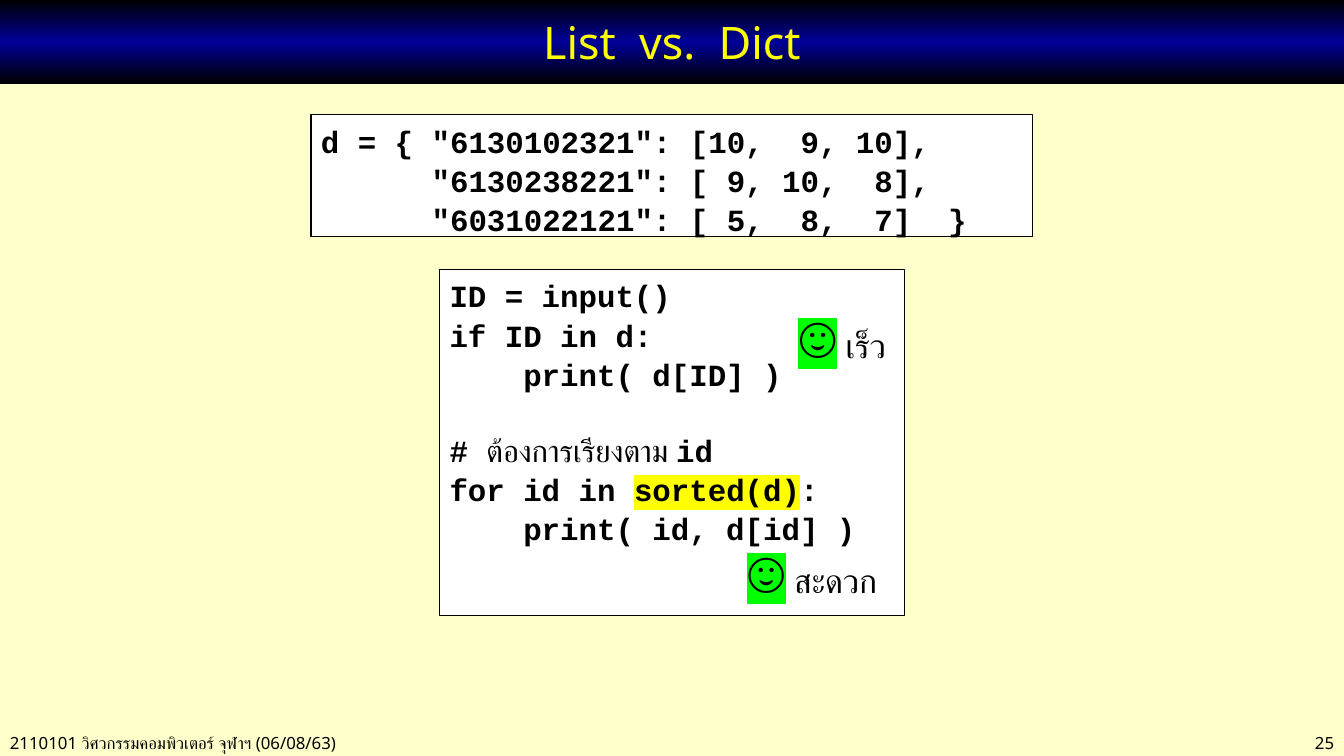
from pptx import Presentation
from pptx.dml.color import RGBColor
from pptx.enum.shapes import MSO_SHAPE
from pptx.enum.text import MSO_ANCHOR, PP_ALIGN
from pptx.util import Inches, Pt
from lxml import etree

RECT = MSO_SHAPE.RECTANGLE
TOP, MIDDLE = MSO_ANCHOR.TOP, MSO_ANCHOR.MIDDLE
LEFT, CENTER, RIGHT = PP_ALIGN.LEFT, PP_ALIGN.CENTER, PP_ALIGN.RIGHT
BLACK = RGBColor(0x00, 0x00, 0x00)
WHITE = RGBColor(0xFF, 0xFF, 0xFF)
NAVY = RGBColor(0x00, 0x00, 0x99)
CREAM = RGBColor(0xFF, 0xFF, 0xCC)
YELLOW = RGBColor(0xFF, 0xFF, 0x00)
GREEN = RGBColor(0x00, 0xFF, 0x00)
SANS, MONO = "Noto Sans", "Courier New"
A = "http://schemas.openxmlformats.org/drawingml/2006/main"

# Content: a line is a list of (text, format changes)
TITLE = "List  vs.  Dict"
COURSE = "2110101 วิศวกรรมคอมพิวเตอร์ จุฬาฯ (06/08/63)"
PAGE = "25"
DICT_CODE = [
    [('d = { "6130102321": [10,  9, 10],', {})],
    [('      "6130238221": [ 9, 10,  8],', {})],
    [('      "6031022121": [ 5,  8,  7]  }', {})],
]
LOOKUP_CODE = [
    [("ID = input()", {})],
    [("if ID in d:", {})],
    [("    print( d[ID] )", {})],
]
SORT_CODE = [
    [("# ", {}), ("ต้องการเรียงตาม ", {"bold": False}), ("id", {})],
    [("for id in ", {}), ("sorted(d)", {"highlight": YELLOW}), (":", {})],
    [("    print( id, d[id] )", {})],
]
PRAISES = [(" เร็ว", 7.82, 3.01, 1.15), (" สะดวก", 7.31, 5.34, 1.66)]

# Layout
WIDTH, HEIGHT = 13.33, 7.5
BAR_HEIGHT = 0.83
CODE_TOP, CODE_GAP = 1.14, 0.32
DICT_SIZE, LOOP_SIZE = (7.16, 1.21), (4.61, 3.44)
FOOTER_HEIGHT = 0.3
CODE_LINE = 26.4
CODE_LEAD = 1.5

prs = Presentation()
prs.slide_width, prs.slide_height = Inches(WIDTH), Inches(HEIGHT)
slide = prs.slides.add_slide(prs.slide_layouts[6])
slide.background.fill.solid()
slide.background.fill.fore_color.rgb = CREAM


def write(frame, text, font=SANS, size=12, color=BLACK, bold=False, align=LEFT,
          anchor=TOP, wrap=True, before=0, gaps=None, inset_top=0.05):
    """Fill a frame with a string or with lines of (text, format changes)."""
    lines = [[(text, {})]] if isinstance(text, str) else text
    frame.word_wrap, frame.vertical_anchor = wrap, anchor
    frame.margin_top = Inches(inset_top)
    for number, line in enumerate(lines):
        para = frame.add_paragraph() if number else frame.paragraphs[0]
        para.alignment = align
        para.space_before = Pt((gaps or {}).get(number, before))
        for words, changes in line:
            run = para.add_run()
            run.text = words
            run.font.name = font
            run.font.size = Pt(changes.get("size", size))
            run.font.bold = changes.get("bold", bold)
            run.font.color.rgb = color
            if "highlight" in changes:
                mark = etree.Element(f"{{{A}}}highlight")
                etree.SubElement(mark, f"{{{A}}}srgbClr", val=str(changes["highlight"]))
                run.font._element.find(f"{{{A}}}solidFill").addnext(mark)


def add_box(left, top, width, height):
    box = slide.shapes.add_shape(RECT, Inches(left), Inches(top), Inches(width), Inches(height))
    box.shadow.inherit = False
    return box


def add_label(left, top, width, height, text, **style):
    label = slide.shapes.add_textbox(Inches(left), Inches(top), Inches(width), Inches(height))
    write(label.text_frame, text, **style)


def add_code(top, size, lines, **style):
    box = add_box((WIDTH - size[0]) / 2, top, *size)
    box.fill.solid()
    box.fill.fore_color.rgb = WHITE
    box.line.color.rgb = BLACK
    box.line.width = Pt(0.75)
    write(box.text_frame, lines, font=MONO, size=22, bold=True,
          before=CODE_LEAD, inset_top=0.08, **style)


# Footer
footer_top = HEIGHT - FOOTER_HEIGHT + 0.02
add_label(0, footer_top, 5.2, FOOTER_HEIGHT, COURSE)
add_label(WIDTH - 1.84, footer_top, 1.84, FOOTER_HEIGHT, PAGE, align=RIGHT)

# Title bar
bar = add_box(0, 0, WIDTH, BAR_HEIGHT)
bar.line.fill.background()
bar.fill.gradient()
bar.fill.gradient_angle = 270
stops = bar.fill._fill._gradFill.find(f"{{{A}}}gsLst")
for stop in list(stops):
    stops.remove(stop)
for share, color in ((0, BLACK), (50, NAVY), (100, BLACK)):
    stop = etree.SubElement(stops, f"{{{A}}}gs", pos=str(share * 1000))
    etree.SubElement(stop, f"{{{A}}}srgbClr", val=str(color))
write(bar.text_frame, TITLE, size=32, color=YELLOW, align=CENTER, anchor=MIDDLE)

# Code boxes; the sorting part starts one line lower
add_code(CODE_TOP, DICT_SIZE, DICT_CODE)
add_code(CODE_TOP + DICT_SIZE[1] + CODE_GAP, LOOP_SIZE, LOOKUP_CODE + SORT_CODE,
         gaps={len(LOOKUP_CODE): CODE_LINE + CODE_LEAD})

# Smiling remarks
for praise, left, top, width in PRAISES:
    smile = ("☺", {"size": 36, "highlight": GREEN})
    add_label(left, top, width, 0.71, [[smile, (praise, {})]], size=24, wrap=False)

prs.save("out.pptx")
